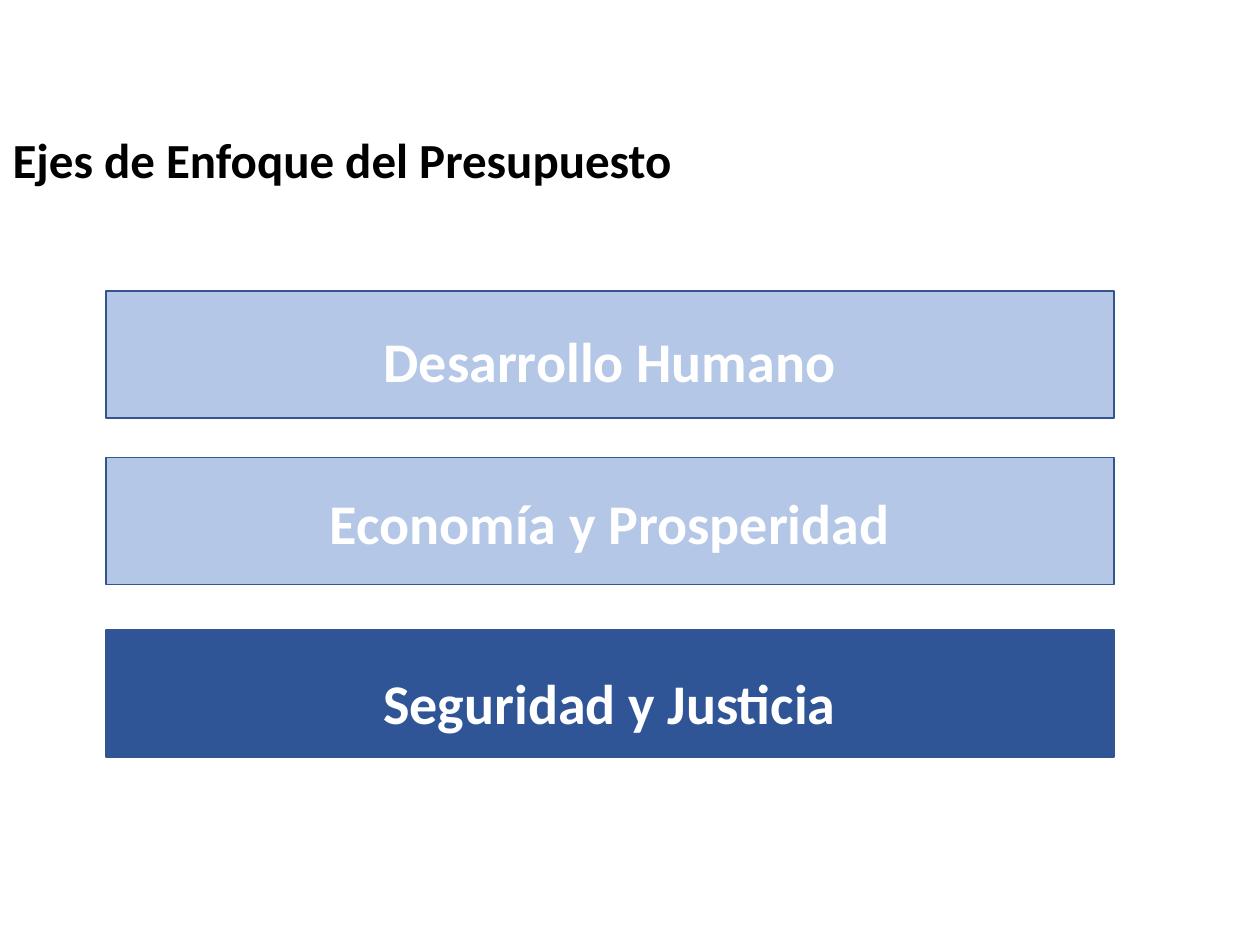
from pptx import Presentation, util as u
from pptx.dml.color import RGBColor
from pptx.enum import shapes, text

TITLE = "Ejes de Enfoque del Presupuesto"
AXES = [
    {"name": "Desarrollo Humano", "top": 2.31, "label_drop": 0.23, "fill": "muted"},
    {"name": "Economía y Prosperidad", "top": 3.63, "label_drop": 0.2, "fill": "muted"},
    {"name": "Seguridad y Justicia", "top": 5, "label_drop": 0.26, "fill": "active"},
]
COLORS = {"paper": "FFFFFF", "ink": "000000", "muted": "B4C7E7",
          "active": "2F5597", "edge": "325491"}
FONT = "Calibri"
WIDTH, HEIGHT = 10, 7.5
BAND_LEFT, BAND_WIDTH, BAND_HEIGHT = 0.84, 0.8 * WIDTH, 1.01
LABEL_HEIGHT = 0.64


def color(name):
    return RGBColor.from_string(COLORS[name])


def inches(*lengths):
    return [u.Inches(length) for length in lengths]


def write(box, words, size, ink, align):
    frame = box.text_frame
    frame.word_wrap = True
    frame.auto_size = text.MSO_AUTO_SIZE.SHAPE_TO_FIT_TEXT
    frame.vertical_anchor = text.MSO_ANCHOR.TOP
    para = frame.paragraphs[0]
    para.alignment = align
    para.line_spacing = 1.0
    para.space_before = u.Pt(0)
    span = para.add_run()
    span.text = words
    span.font.name = FONT
    span.font.size = u.Pt(size)
    span.font.bold = True
    span.font.color.rgb = color(ink)


def add_title(page):
    box = page.shapes.title
    box.left, box.top, box.width, box.height = inches(0, 0.98, WIDTH, 0.57)
    box.fill.solid()
    box.fill.fore_color.rgb = color("paper")
    write(box, TITLE, 28, "ink", text.PP_ALIGN.LEFT)


def add_band(page, axis):
    band = page.shapes.add_shape(
        shapes.MSO_SHAPE.RECTANGLE,
        *inches(BAND_LEFT, axis["top"], BAND_WIDTH, BAND_HEIGHT))
    band.shadow.inherit = False
    band.fill.solid()
    band.fill.fore_color.rgb = color(axis["fill"])
    band.line.color.rgb = color("edge")
    band.line.width = u.Pt(1)


def add_label(page, axis):
    label = page.shapes.add_textbox(
        *inches(BAND_LEFT, axis["top"] + axis["label_drop"], BAND_WIDTH, LABEL_HEIGHT))
    write(label, axis["name"], 32, "paper", text.PP_ALIGN.CENTER)


def main():
    deck = Presentation()
    deck.slide_width, deck.slide_height = inches(WIDTH, HEIGHT)
    page = deck.slides.add_slide(deck.slide_layouts.get_by_name("Title Only"))
    add_title(page)
    for axis in AXES:
        add_band(page, axis)
        add_label(page, axis)
    deck.save("out.pptx")


if __name__ == "__main__":
    main()
